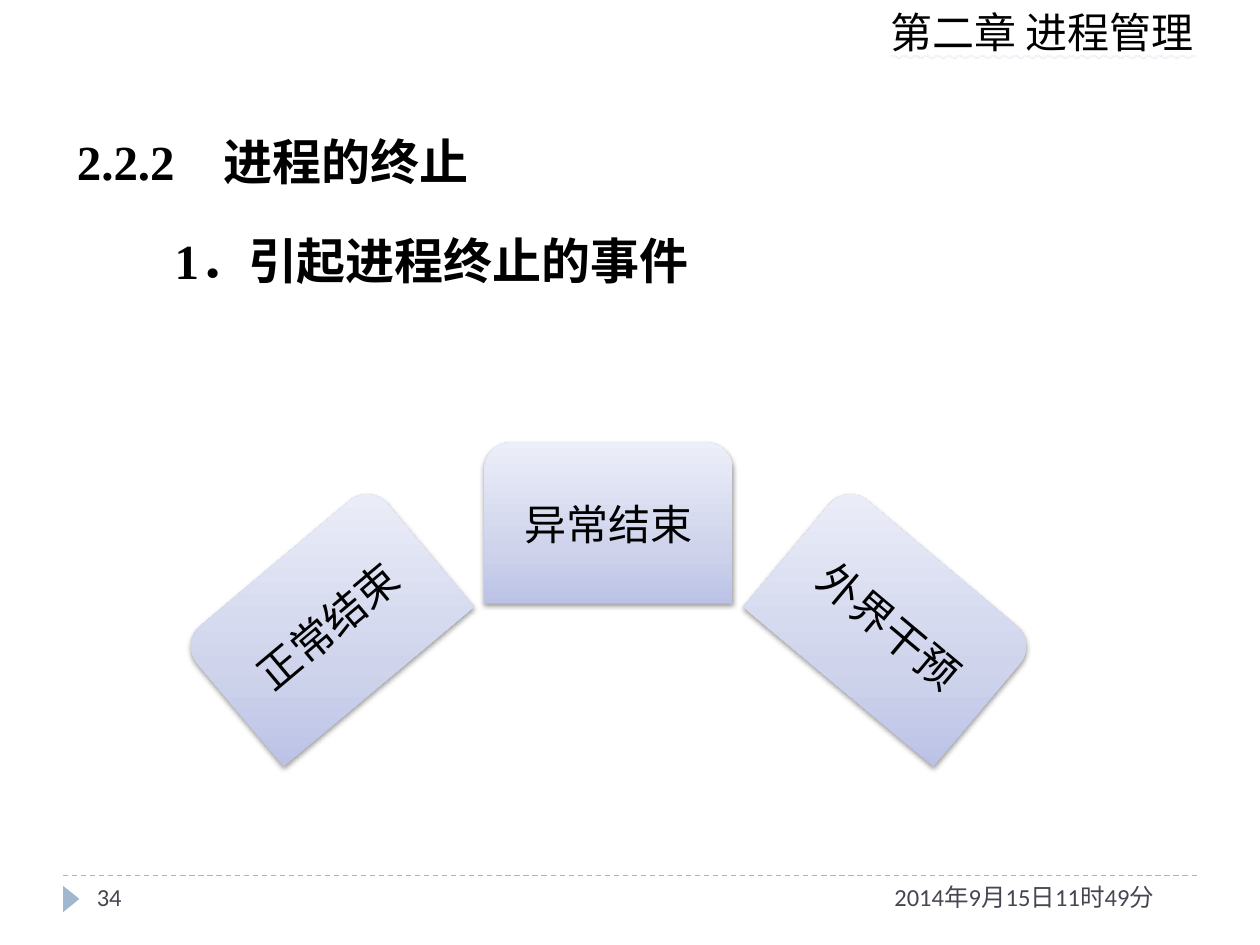
from pptx import Presentation
from pptx.dml.color import RGBColor
from pptx.enum.dml import MSO_LINE
from pptx.enum.shapes import MSO_CONNECTOR, MSO_SHAPE
from pptx.enum.text import MSO_ANCHOR, MSO_UNDERLINE, PP_ALIGN
from pptx.oxml import parse_xml
from pptx.oxml.ns import nsdecls, qn
from pptx.util import Inches, Pt

BLACK = RGBColor(0x00, 0x00, 0x00)
SLATE = RGBColor(0x46, 0x46, 0x53)
STEEL = RGBColor(0x9F, 0xB8, 0xCD)
LILAC = RGBColor(0xD2, 0xBF, 0xE0)
CARD_STOPS = [
    (0, RGBColor(0xBB, 0xC2, 0xE6)),
    (35, RGBColor(0xCF, 0xD4, 0xEC)),
    (100, RGBColor(0xEC, 0xEE, 0xF8)),
]


def write(para, text, size=24, font="Calibri", color=BLACK, bold=False):
    span = para.add_run()
    span.text = text
    span.font.size = Pt(size)
    span.font.name = font
    span.font.bold = bold
    span.font.color.rgb = color
    return span


def add_text(page, left, top, width, height, text, wrap=True, **style):
    box = page.shapes.add_textbox(
        Inches(left), Inches(top), Inches(width), Inches(height))
    box.text_frame.word_wrap = wrap
    return write(box.text_frame.paragraphs[0], text, **style)


def add_header(page, left, top, width, height):
    span = add_text(page, left, top, width, height, "第二章 进程管理", wrap=False)
    span.font.underline = MSO_UNDERLINE.WAVY_DOUBLE_LINE
    underline_fill = parse_xml(
        f'<a:uFill {nsdecls("a")}><a:solidFill><a:srgbClr val="{LILAC}"/>'
        '</a:solidFill></a:uFill>')
    span.font.fill
    span._r.rPr.find(qn("a:latin")).addprevious(underline_fill)


def add_body(page, left, top, width, height):
    body = page.placeholders[1]
    body.left, body.top = Inches(left), Inches(top)
    body.width, body.height = Inches(width), Inches(height)
    frame = body.text_frame
    lines = ["2.2.2\u3000进程的终止", "\u3000\u30001．引起进程终止的事件"]
    for index, line in enumerate(lines):
        para = frame.add_paragraph() if index else frame.paragraphs[0]
        para.line_spacing = 1.5
        para.space_before = Pt(6)
        props = para._p.get_or_add_pPr()
        props.set("marL", "0")
        props.set("indent", "0")
        props.append(parse_xml(f'<a:buNone {nsdecls("a")}/>'))
        write(para, line, size=28, font="Times New Roman", bold=True)


def style_card(card):
    card.line.fill.background()
    card.shadow.inherit = False
    card.fill.gradient()
    stops = "".join(
        f'<a:gs pos="{place * 1000}"><a:srgbClr val="{color}"/></a:gs>'
        for place, color in CARD_STOPS)
    props = card.element.spPr
    props.replace(props.find(qn("a:gradFill")), parse_xml(
        f'<a:gradFill {nsdecls("a")} rotWithShape="0"><a:gsLst>{stops}</a:gsLst>'
        '<a:lin ang="16200000" scaled="0"/></a:gradFill>'))
    props.find(qn("a:effectLst")).append(parse_xml(
        f'<a:outerShdw {nsdecls("a")} blurRad="{Pt(3.1)}" dist="{Pt(1.6)}" '
        'dir="5400000" rotWithShape="0"><a:srgbClr val="000000">'
        '<a:alpha val="38000"/></a:srgbClr></a:outerShdw>'))


def add_arch(page, left, top, width, height):
    card_width, card_height = 1.97, 1.28
    step = (width - card_width) / 2
    drop = height - card_height
    cards = [("正常结束", drop, 320), ("异常结束", 0, 0), ("外界干预", drop, 40)]
    for index, (label, offset, angle) in enumerate(cards):
        card = page.shapes.add_shape(
            MSO_SHAPE.ROUND_2_SAME_RECTANGLE,
            Inches(left + index * step), Inches(top + offset),
            Inches(card_width), Inches(card_height))
        card.rotation = angle
        style_card(card)
        frame = card.text_frame
        frame.word_wrap = True
        frame.vertical_anchor = MSO_ANCHOR.MIDDLE
        frame.margin_left = frame.margin_right = Inches(0.1)
        frame.margin_top = frame.margin_bottom = Inches(0.03)
        para = frame.paragraphs[0]
        para.alignment = PP_ALIGN.CENTER
        para.line_spacing = 0.9
        write(para, label)


def add_footer(page, left, top, width, height):
    right = left + width
    rule = page.shapes.add_connector(
        MSO_CONNECTOR.STRAIGHT,
        Inches(left), Inches(top), Inches(right), Inches(top))
    rule.line.color.rgb = STEEL
    rule.line.width = Pt(0.75)
    rule.line.dash_style = MSO_LINE.DASH
    rule.element.spPr.append(parse_xml(f'<a:effectLst {nsdecls("a")}/>'))

    marker = page.shapes.add_shape(
        MSO_SHAPE.ISOSCELES_TRIANGLE, Inches(left - 0.04), Inches(top + 0.12),
        Inches(0.21), Inches(0.13))
    marker.rotation = 90
    marker.shadow.inherit = False
    marker.fill.solid()
    marker.fill.fore_color.rgb = STEEL
    marker.line.fill.background()

    add_text(page, right - 2.5, top, 2.5, height, "2014年9月15日11时49分",
             size=14, color=SLATE)
    add_text(page, left + 0.17, top, 2.17, height, "34", size=14, color=SLATE)


def main():
    deck = Presentation()
    deck.slide_width, deck.slide_height = Inches(10), Inches(7.5)
    page = deck.slides.add_slide(deck.slide_layouts[1])
    title = page.shapes.title.element
    title.getparent().remove(title)
    add_header(page, 6.97, 0, 2.66, 0.5)
    add_body(page, 0.51, 0.76, 8.98, 1.81)
    add_arch(page, 1.61, 3.51, 6.44, 2.09)
    add_footer(page, 0.5, 6.95, 9, 0.4)
    deck.save("out.pptx")


if __name__ == "__main__":
    main()
